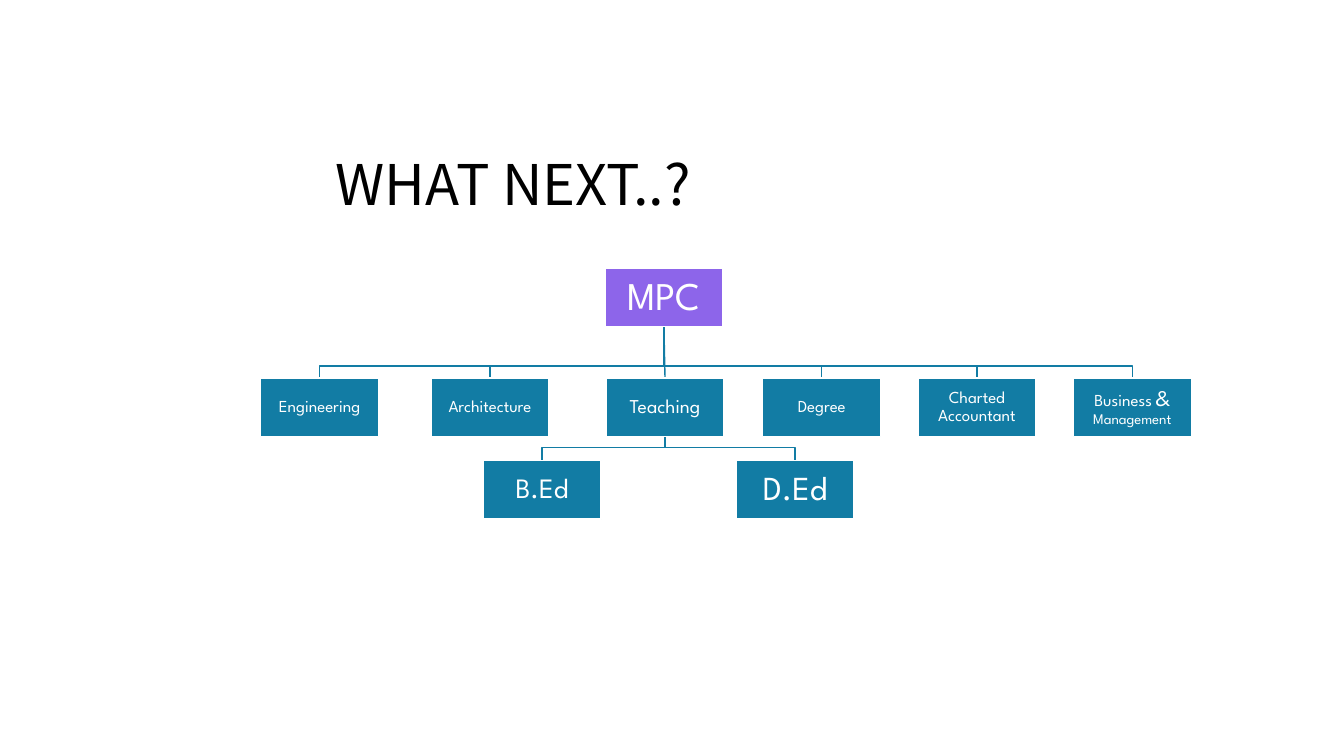
import pptx
import pptx.util
import pptx.dml.color
import pptx.enum.shapes
import pptx.enum.text
import lxml.etree
from dataclasses import dataclass

Inches = pptx.util.Inches
Pt = pptx.util.Pt
WIDE, HIGH = Inches(13.33), Inches(7.5)
BOX_W, BOX_H = 8.78, 7.73
TOP, MID, LOW = 35.47, 50, 60.93
BUS, FORK = 48.4, 59.2


@dataclass(frozen=True)
class Theme:
    teal: str = "127CA4"
    violet: str = "8D65EA"
    white: str = "FFFFFF"
    black: str = "000000"
    face: str = "League Spartan"
    head: str = "Noto Sans CJK JP"
    title: float = 40
    root: float = 28
    large: float = 24
    wide: float = 20
    sign: float = 16
    lead: float = 14
    base: float = 12
    small: float = 10.5
    gap: float = 10
    line: float = 1


LOOK = Theme()
ROOT = (49.4, [("MPC", LOOK.root)])
PATHS = [
    (23.78, [("Engineering", LOOK.base)]),
    (36.46, [("Architecture", LOOK.base)]),
    (49.48, [("Teaching", LOOK.lead)]),
    (61.14, [("Degree", LOOK.base)]),
    (72.69, [("Charted", LOOK.base), (" ", LOOK.gap), ("Accountant", LOOK.base)]),
    (84.25, [("Business", LOOK.base), (" ", LOOK.gap), ("&", LOOK.sign),
             (" ", LOOK.gap), ("Management", LOOK.small)]),
]
HUB = 2
GRADES = [
    (40.33, [("B.Ed", LOOK.wide)]),
    (59.16, [("D.Ed", LOOK.large)]),
]


def across(share):
    return round(WIDE * share / 100)


def down(share):
    return round(HIGH * share / 100)


def tint(code):
    return pptx.dml.color.RGBColor.from_string(code)


def add_run(para, text, size, face, color):
    run = para.add_run()
    run.text = text
    run.font.size = Pt(size)
    run.font.name = face
    run.font.color.rgb = tint(color)


def add_title(slide, text):
    title = slide.shapes.title
    title.left, title.top = across(24.23), down(19.07)
    title.width, title.height = across(47.86), down(10.27)
    frame = title.text_frame
    frame.word_wrap = True
    frame.auto_size = pptx.enum.text.MSO_AUTO_SIZE.NONE
    frame.vertical_anchor = pptx.enum.text.MSO_ANCHOR.TOP
    para = frame.paragraphs[0]
    para.alignment = pptx.enum.text.PP_ALIGN.LEFT
    add_run(para, text, LOOK.title, LOOK.head, LOOK.black)


def add_box(slide, mid, top, runs, fill):
    box = slide.shapes.add_shape(
        pptx.enum.shapes.MSO_SHAPE.RECTANGLE,
        across(mid - BOX_W / 2), down(top), across(BOX_W), down(BOX_H))
    box.shadow.inherit = False
    box.fill.solid()
    box.fill.fore_color.rgb = tint(fill)
    box.line.color.rgb = tint(LOOK.white)
    box.line.width = Pt(LOOK.line)
    frame = box.text_frame
    frame.word_wrap = True
    frame.vertical_anchor = pptx.enum.text.MSO_ANCHOR.MIDDLE
    frame.margin_left = frame.margin_right = Inches(0.01)
    frame.margin_top = frame.margin_bottom = Inches(0.01)
    para = frame.paragraphs[0]
    para.alignment = pptx.enum.text.PP_ALIGN.CENTER
    para.line_spacing = 0.9
    para.space_after = Pt(0.35 * runs[0][1])
    for text, size in runs:
        add_run(para, text, size, LOOK.face, LOOK.white)
    return box


def add_elbow(slide, start, top, bend, end, foot):
    pen = slide.shapes.build_freeform(across(start), down(top))
    pen.add_line_segments(
        [(across(start), down(bend)), (across(end), down(bend)),
         (across(end), down(foot))], close=False)
    elbow = pen.convert_to_shape()
    elbow.shadow.inherit = False
    elbow.fill.background()
    elbow.line.color.rgb = tint(LOOK.teal)
    elbow.line.width = Pt(LOOK.line)


def add_stem(slide, start, top, end, foot):
    stem = slide.shapes.add_connector(
        pptx.enum.shapes.MSO_CONNECTOR.STRAIGHT,
        across(start), down(top), across(end), down(foot))
    stem.line.color.rgb = tint(LOOK.teal)
    stem.line.width = Pt(LOOK.line)
    lxml.etree.SubElement(
        stem._element.spPr, pptx.oxml.ns.qn("a:effectLst"))
    return stem


def main():
    deck = pptx.Presentation()
    deck.slide_width, deck.slide_height = WIDE, HIGH
    slide = deck.slides.add_slide(deck.slide_layouts[5])
    add_title(slide, "WHAT NEXT..?")

    start, hub = ROOT[0], PATHS[HUB][0]
    for mid, runs in GRADES:
        add_elbow(slide, hub, MID + BOX_H, FORK, mid, LOW)
    for mid, runs in PATHS:
        if mid != hub:
            add_elbow(slide, start, TOP + BOX_H, BUS, mid, MID)
    stem = add_stem(slide, start, TOP + BOX_H, hub, MID)

    root = add_box(slide, start, TOP, ROOT[1], LOOK.violet)
    boxes = [add_box(slide, mid, MID, runs, LOOK.teal) for mid, runs in PATHS]
    for mid, runs in GRADES:
        add_box(slide, mid, LOW, runs, LOOK.teal)
    stem.begin_connect(root, 2)
    stem.end_connect(boxes[HUB], 0)

    deck.save("out.pptx")


if __name__ == "__main__":
    main()
